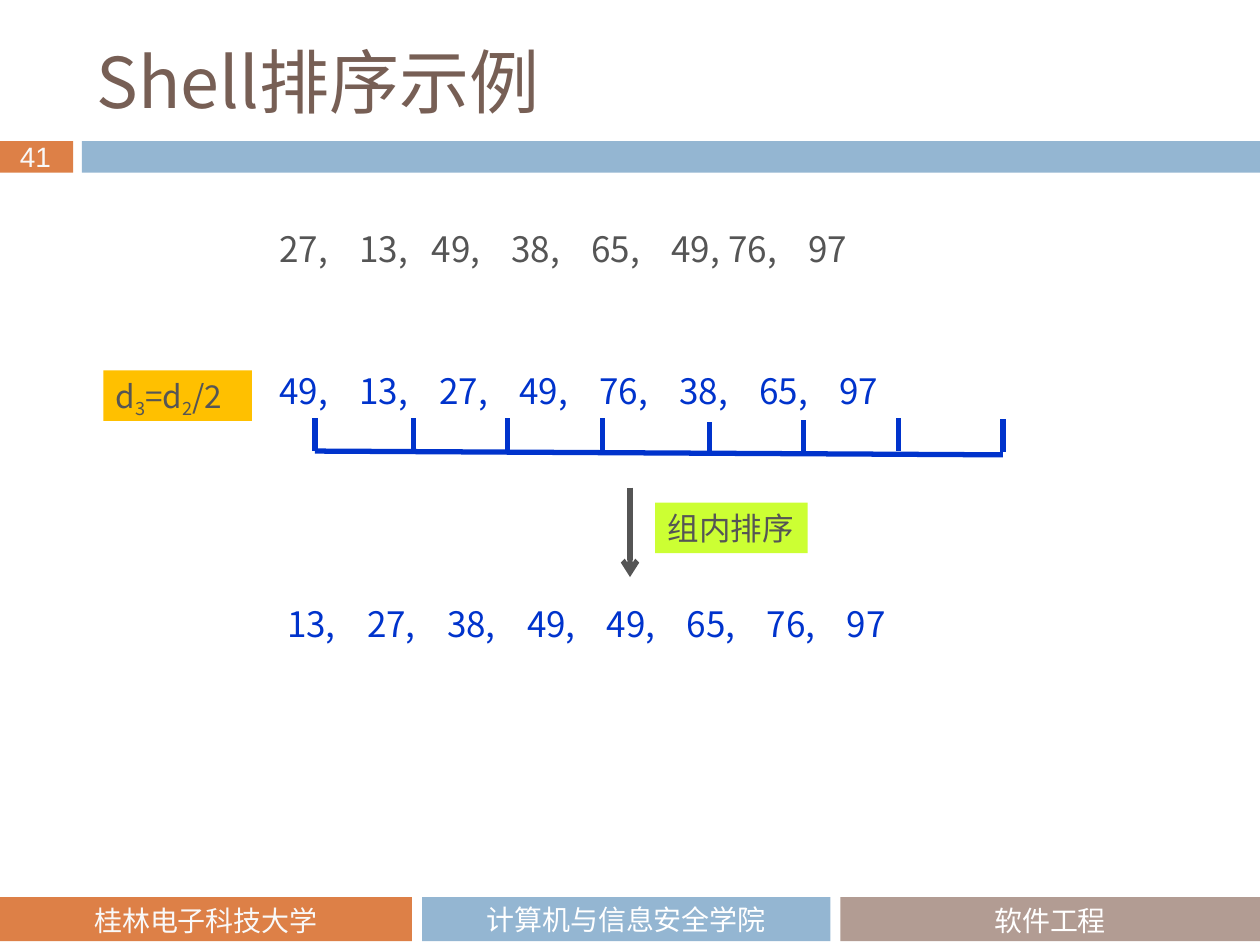
"""Build the Shell sort example slide."""
from pptx import Presentation
from pptx.dml.color import RGBColor
from pptx.enum.shapes import MSO_CONNECTOR as CONN, MSO_SHAPE as SHAPE
from pptx.enum.text import MSO_ANCHOR as ANCHOR, PP_ALIGN as ALIGN
from pptx.oxml.ns import qn
from pptx.util import Pt
from lxml.etree import SubElement

THEME = dict(
    orange="DD8047", blue="94B6D2", taupe="B29C93", brown="775F55",
    white="FFFFFF", pale="F9F9F9", ink="555555", number="0033CC",
    amber="FFC000", lime="CCFF33",
    title_size=40, row_size=20, label_size=18, small_size=16,
    cjk="Noto Sans CJK SC", title_font="Noto Sans CJK JP",
    footer_font="Cabin", page_font="Arial", line=3,
)

BARS = [
    ((0, 80.64, 41.76, 18), "orange"),
    ((46.8, 80.64, 673.2, 18), "blue"),
    ((0, 512.64, 235.44, 25.2), "orange"),
    ((241.2, 512.64, 233.28, 25.2), "blue"),
    ((480.24, 512.64, 239.76, 25.2), "taupe"),
]
FOOTERS = [
    ("桂林电子科技大学", (0, 512.64, 235.44, 23.04), "pale", ANCHOR.TOP),
    ("计算机与信息安全学院", (241.2, 512.64, 233.28, 25.2), "white", ANCHOR.MIDDLE),
    ("软件工程", (480.24, 512.64, 239.76, 23.04), "white", ANCHOR.TOP),
]
STEP = 45.7
EVEN_STOPS = [STEP * i for i in range(1, 8)]
UNEVEN_STOPS = [45.7, 86.9, 132.6, 178.3, 224, 256.5, 302.2]
ROWS = [
    ([27, 13, 49, 38, 65, 49, 76, 97], (152.64, 126, 420.48, 31.68), "ink", UNEVEN_STOPS),
    ([49, 13, 27, 49, 76, 38, 65, 97], (152.64, 207.36, 439.92, 31.68), "number", EVEN_STOPS),
    ([13, 27, 38, 49, 49, 65, 76, 97], (156.96, 340.56, 439.92, 31.68), "number", EVEN_STOPS),
]
LABELS = [
    ([("d", 0), ("3", -25), ("=d", 0), ("2", -25), ("/2", 0)],
     (59.04, 211.68, 84.96, 28.8), "amber"),
    ("组内排序", (374.4, 287.28, 87.12, 28.8), "lime"),
]
COMB_BASE = (180, 257.76, 573.12, 259.92)
TICK_HEIGHT = 19
TICKS = [(180, 257.76), (236.16, 257.76), (290.16, 257.76), (344.16, 257.76),
         (405.36, 259.92), (459.36, 259.2), (513.36, 257.76), (573.12, 258.5)]
ARROW = (360, 278.64, 360, 329.76)

prs = Presentation()
prs.slide_width, prs.slide_height = Pt(720), Pt(540)
s = prs.slides.add_slide(prs.slide_layouts[6])


def color(key):
    return RGBColor.from_string(THEME[key])


def add_rect(box, fill):
    sp = s.shapes.add_shape(SHAPE.RECTANGLE, *map(Pt, box))
    sp.shadow.inherit = False
    sp.fill.solid()
    sp.fill.fore_color.rgb = color(fill)
    sp.line.fill.background()
    return sp


def add_text(text, box, *, ink, size, font="cjk", ea="cjk", fill=None,
             align=ALIGN.LEFT, anchor=ANCHOR.TOP, stops=(), right=7.2):
    sp = add_rect(box, fill) if fill else s.shapes.add_textbox(*map(Pt, box))
    tf = sp.text_frame
    tf.word_wrap = True
    tf.vertical_anchor = anchor
    tf.margin_right = Pt(right)
    p = tf.paragraphs[0]
    p.alignment = align
    if stops:
        tabs = SubElement(p._p.get_or_add_pPr(), qn("a:tabLst"))
        for stop in stops:
            SubElement(tabs, qn("a:tab"), pos=str(int(Pt(stop))), algn="l")
    for part, base in [(text, 0)] if isinstance(text, str) else text:
        r = p.add_run()
        r.text = part
        r.font.size = Pt(THEME[size])
        r.font.name = THEME[font]
        r.font.color.rgb = color(ink)
        rpr = r._r.get_or_add_rPr()
        SubElement(rpr, qn("a:ea"), typeface=THEME[ea])
        if base:
            rpr.set("baseline", str(base * 1000))


def add_line(ends, ink, arrow=False):
    ln = s.shapes.add_connector(CONN.STRAIGHT, *map(Pt, ends))
    ln.line.color.rgb = color(ink)
    ln.line.width = Pt(THEME["line"])
    if arrow:
        SubElement(ln.line._get_or_add_ln(), qn("a:tailEnd"), type="arrow")
    SubElement(ln._element.spPr, qn("a:effectLst"))


for box, fill in BARS:
    add_rect(box, fill)
for text, box, ink, anchor in FOOTERS:
    add_text(text, box, ink=ink, size="small_size", font="footer_font",
             align=ALIGN.CENTER, anchor=anchor)
add_text("41", (4.32, 76.32, 34.56, 26.64), ink="pale", size="small_size",
         font="page_font")
add_text("Shell排序示例", (48.24, 18, 642.24, 56.16), ink="brown", size="title_size",
         font="title_font", ea="title_font", anchor=ANCHOR.MIDDLE)
for values, box, ink, stops in ROWS:
    add_text(",\t".join(map(str, values)), box, ink=ink, size="row_size",
             anchor=ANCHOR.MIDDLE, stops=stops)
for text, box, fill in LABELS:
    add_text(text, box, ink="ink", size="label_size", fill=fill, right=0)
add_line(COMB_BASE, "number")
for x, bottom in TICKS:
    add_line((x, bottom, x, bottom - TICK_HEIGHT), "number")
add_line(ARROW, "ink", arrow=True)

prs.save("out.pptx")
